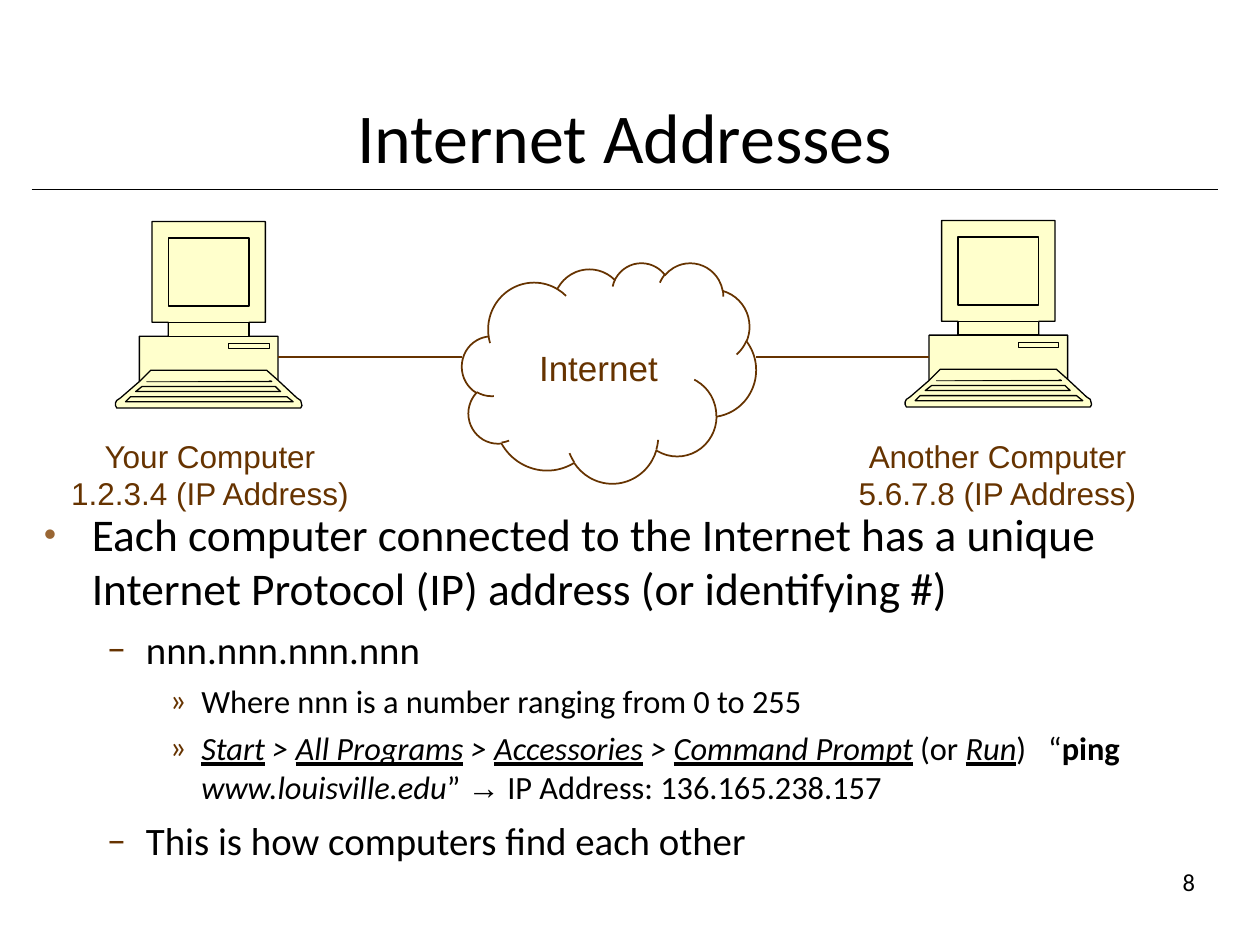
from dataclasses import dataclass

from lxml import etree
from pptx import Presentation
from pptx.dml.color import RGBColor
from pptx.enum.shapes import MSO_CONNECTOR, MSO_SHAPE
from pptx.enum.text import MSO_ANCHOR, MSO_AUTO_SIZE, PP_ALIGN
from pptx.oxml.ns import qn
from pptx.util import Inches, Pt

STRAIGHT = MSO_CONNECTOR.STRAIGHT
CLOUD = MSO_SHAPE.CLOUD
TOP, MIDDLE, BOTTOM = MSO_ANCHOR.TOP, MSO_ANCHOR.MIDDLE, MSO_ANCHOR.BOTTOM
LEFT, CENTER, RIGHT = PP_ALIGN.LEFT, PP_ALIGN.CENTER, PP_ALIGN.RIGHT
NO_FIT = MSO_AUTO_SIZE.NONE

BLACK = RGBColor(0x00, 0x00, 0x00)
BROWN = RGBColor(0x66, 0x33, 0x00)
TAN = RGBColor(0x99, 0x66, 0x33)
CREAM = RGBColor(0xFF, 0xFF, 0xCC)

SLIDE_W, SLIDE_H = Inches(10), Inches(7.5)
COLS, ROWS = 120, 90
COMPUTER_UNIT = Inches(0.01)


@dataclass(frozen=True)
class Box:
    col: float
    row: float
    cols: float
    rows: float

    def emu(self) -> tuple[int, ...]:
        return x(self.col), y(self.row), x(self.cols), y(self.rows)


@dataclass(frozen=True)
class Host:
    col: float
    row: float
    label_col: float
    lines: tuple[str, str]
    link: tuple[float, float]


@dataclass(frozen=True)
class Level:
    char: str
    color: RGBColor
    percent: int
    size: float
    margin: float
    hanging: float
    before: float


@dataclass(frozen=True)
class Span:
    text: str
    italic: bool = False
    underline: bool = False
    bold: bool = False
    font: str = "Calibri"
    spacing: float = 0


@dataclass(frozen=True)
class Contour:
    points: tuple[tuple[int, int], ...]
    close: bool = True


def x(cols: float) -> int:
    return round(SLIDE_W * cols / COLS)


def y(rows: float) -> int:
    return round(SLIDE_H * rows / ROWS)


def rect(left: int, top: int, right: int, bottom: int) -> Contour:
    return Contour(((left, top), (right, top), (right, bottom), (left, bottom)))


COMPUTER = (
    Contour((
        (144, 140), (129, 126), (129, 91), (106, 91), (106, 80), (119, 80),
        (119, 0), (29, 0), (29, 80), (42, 80), (42, 91), (19, 91),
        (19, 127), (4, 140), (1, 142), (0, 144), (0, 146), (1, 148),
        (4, 148), (144, 148), (147, 148), (148, 146), (147, 142),
    )),
    Contour(((124, 127), (119, 123), (30, 123), (25, 127))),
    Contour(((131, 135), (127, 131), (21, 131), (16, 135))),
    Contour(((141, 143), (136, 139), (12, 139), (8, 143))),
    Contour(((129, 126), (120, 118), (28, 118), (19, 127)), close=False),
    rect(90, 97, 122, 101),
    rect(42, 13, 106, 67),
    rect(42, 80, 106, 91),
)

HOSTS = (
    Host(11, 21.1, 5, ("Your Computer", "1.2.3.4 (IP Address)"), (26.5, 44)),
    Host(86.2, 21, 80, ("Another Computer", "5.6.7.8 (IP Address)"), (72, 88.5)),
)

LEVELS = (
    Level("●", TAN, 45, 25.9, 0.38, 0.38, 8.8),
    Level("–", BROWN, 100, 22.2, 0.81, 0.31, 6),
    Level("»", BROWN, 100, 18.5, 1.25, 0.25, 5),
)

COMMAND = (
    Span("Start", True, True), Span(" > ", True),
    Span("All Programs", True, True), Span(" > ", True),
    Span("Accessories", True, True), Span(" > ", True),
    Span("Command Prompt", True, True), Span(" (or "),
    Span("Run", True, True), Span(")"), Span(" ", spacing=8.4), Span("“"),
    Span("ping ", bold=True), Span("www.louisville.edu", True),
    Span("” "), Span("→", font="Arial"), Span(" IP Address: 136.165.238.157"),
)

BULLETS = (
    (0, (Span("Each computer connected to the Internet has a unique "
              "Internet Protocol (IP) address (or identifying #)"),)),
    (1, (Span("nnn.nnn.nnn.nnn"),)),
    (2, (Span("Where nnn is a number ranging from 0 to 255"),)),
    (2, COMMAND),
    (1, (Span("This is how computers find each other"),)),
)


def write(sp, text: str, size: float, font: str, color: RGBColor, align, anchor) -> None:
    tf = sp.text_frame
    tf.text = text
    tf.word_wrap = True
    tf.auto_size = NO_FIT
    tf.vertical_anchor = anchor
    for p in tf.paragraphs:
        p.alignment = align
        for r in p.runs:
            r.font.size, r.font.name = Pt(size), font
            r.font.color.rgb = color


def add_line(s, start: float, end: float, row: float, color: RGBColor, width: float) -> None:
    line = s.shapes.add_connector(STRAIGHT, x(start), y(row), x(end), y(row))
    line.line.color.rgb = color
    line.line.width = Pt(width)
    etree.SubElement(line._element.spPr, qn("a:effectLst"))


def split_paths(sp) -> None:
    path = next(sp._element.iter(qn("a:path")))
    path_list = path.getparent()
    steps = list(path)
    path_list.remove(path)
    for step in steps:
        if step.tag == qn("a:moveTo"):
            part = etree.SubElement(path_list, qn("a:path"), dict(path.attrib))
        part.append(step)


def add_computer(s, col: float, row: float) -> None:
    first = COMPUTER[0].points[0]
    builder = s.shapes.build_freeform(*first, scale=COMPUTER_UNIT)
    for i, contour in enumerate(COMPUTER):
        if i:
            builder.move_to(*contour.points[0])
        builder.add_line_segments(contour.points[1:], close=contour.close)
    sp = builder.convert_to_shape(x(col), y(row))
    split_paths(sp)
    sp.shadow.inherit = False
    sp.fill.solid()
    sp.fill.fore_color.rgb = CREAM
    sp.line.color.rgb = BLACK
    sp.line.width = Pt(0.75)


def add_bullet(p, level: Level) -> None:
    pPr = p._p.get_or_add_pPr()
    pPr.set("marL", str(Inches(level.margin)))
    pPr.set("indent", str(-Inches(level.hanging)))
    color = etree.SubElement(pPr, qn("a:buClr"))
    etree.SubElement(color, qn("a:srgbClr"), val=str(level.color))
    etree.SubElement(pPr, qn("a:buSzPct"), val=str(level.percent * 1000))
    etree.SubElement(pPr, qn("a:buFont"), typeface="Calibri")
    etree.SubElement(pPr, qn("a:buChar"), char=level.char)


def add_bullets(s, box: Box) -> None:
    tf = s.shapes.add_textbox(*box.emu()).text_frame
    tf.word_wrap = True
    for i, (depth, spans) in enumerate(BULLETS):
        p = tf.add_paragraph() if i else tf.paragraphs[0]
        level = LEVELS[depth]
        p.level = depth
        add_bullet(p, level)
        p.space_before = Pt(level.before if i else 0)
        for span in spans:
            r = p.add_run()
            r.text = span.text
            r.font.size, r.font.name = Pt(level.size), span.font
            r.font.color.rgb = BLACK
            r.font.bold, r.font.italic = span.bold, span.italic
            r.font.underline = span.underline
            if span.spacing:
                r.font._element.set("spc", str(round(span.spacing * 100)))


def add_cloud(s, box: Box) -> None:
    sp = s.shapes.add_shape(CLOUD, *box.emu())
    sp.shadow.inherit = False
    sp.fill.background()
    sp.line.color.rgb = BROWN
    sp.line.width = Pt(1)
    write(sp, "Internet", 20, "Arial", BROWN, CENTER, MIDDLE)


def main() -> None:
    prs = Presentation()
    prs.slide_width, prs.slide_height = SLIDE_W, SLIDE_H
    s = prs.slides.add_slide(prs.slide_layouts.get_by_name("Title Only"))
    title = s.shapes.title
    title.left, title.top, title.width, title.height = Box(4, 3, 111, 14.5).emu()
    write(title, "Internet Addresses", 40, "Calibri", BLACK, CENTER, BOTTOM)
    add_line(s, 3, 116, 18, BLACK, 0.5)
    add_bullets(s, Box(3, 47.6, 112, 35.4))
    number = s.shapes.add_textbox(*Box(90, 81, 25, 6).emu())
    write(number, "8", 14, "Calibri", BLACK, RIGHT, MIDDLE)
    for host in HOSTS:
        add_computer(s, host.col, host.row)
        label = s.shapes.add_textbox(*Box(host.label_col, 41, 30, 8.4).emu())
        write(label, "\n".join(host.lines), 18, "Arial", BROWN, CENTER, TOP)
        add_line(s, *host.link, 34, BROWN, 1)
    add_cloud(s, Box(44, 25, 28, 21))
    prs.save("out.pptx")


if __name__ == "__main__":
    main()
